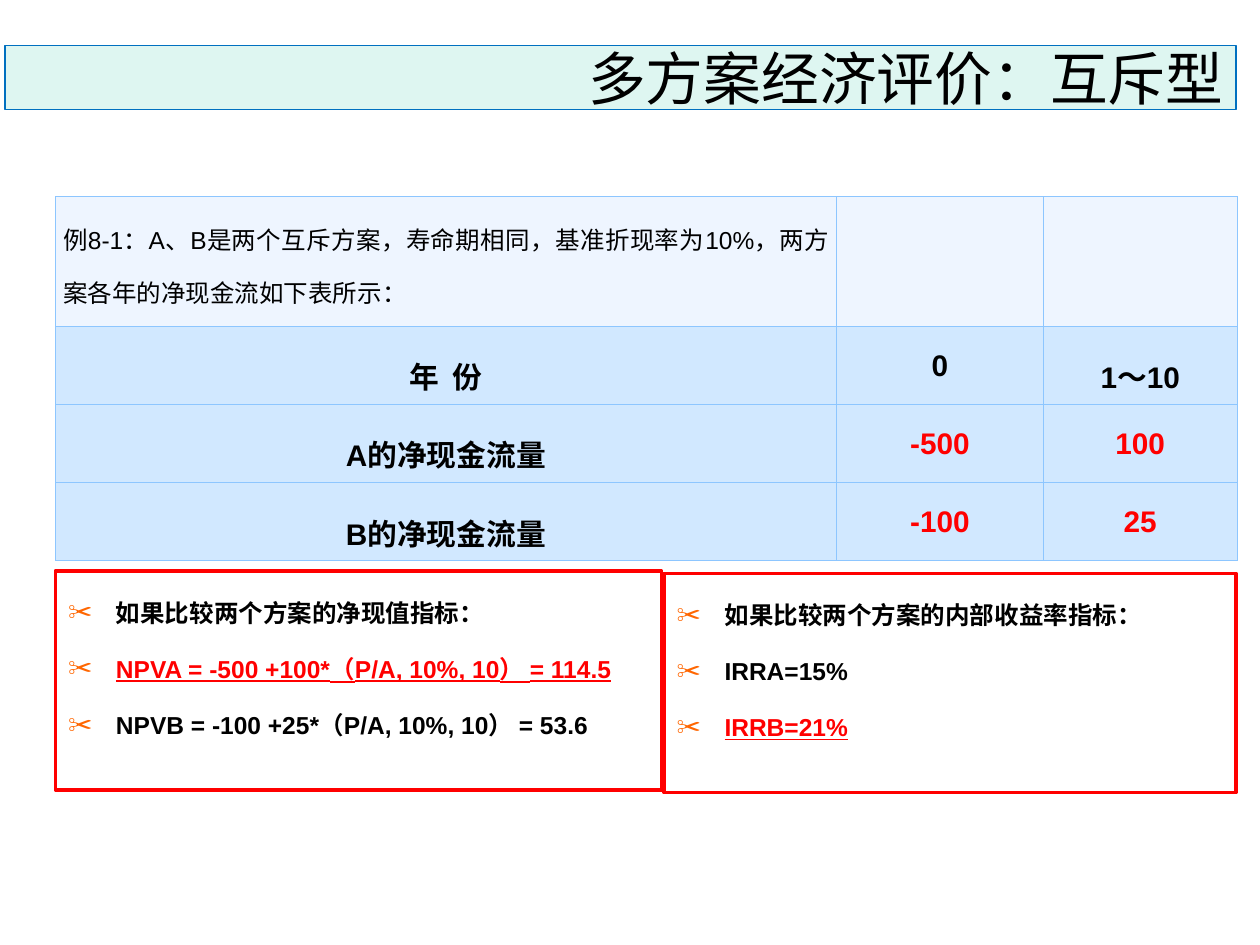
from lxml.etree import SubElement
from pptx import Presentation
from pptx.dml.color import RGBColor
from pptx.enum.text import MSO_ANCHOR, MSO_AUTO_SIZE, PP_ALIGN
from pptx.oxml.ns import qn
from pptx.util import Inches, Pt

COLORS = {
    "ink": "000000", "alert": "FF0000", "paper": "FFFFFF", "bullet": "FF6600",
    "title_fill": "DEF6F1", "title_line": "0070C0",
    "intro_row": "EEF5FF", "data_row": "D1E8FF", "grid": "8DC6FF",
}
LATIN, CJK = "Arial", "Noto Sans CJK SC"

TITLE = "多方案经济评价：互斥型"
INTRO = "例8-1：A、B是两个互斥方案，寿命期相同，基准折现率为10%，两方案各年的净现金流如下表所示："
CASH_FLOWS = [
    (INTRO, "", ""),
    ("年  份", "0", "1～10"),
    ("A的净现金流量", "-500", "100"),
    ("B的净现金流量", "-100", "25"),
]
COLUMNS = (6.2, 1.64, 1.54)
ROWS = (1.03, 0.62, 0.62, 0.62)

# Each criterion: box (left, top, width, height), then lines with the preferred plan marked.
CRITERIA = [
    ((0.44, 4.53, 4.81, 1.74), [
        ("如果比较两个方案的净现值指标：", False),
        ("NPVA = -500 +100*（P/A, 10%, 10） = 114.5", True),
        ("NPVB = -100 +25*（P/A, 10%, 10） = 53.6", False),
    ]),
    ((5.27, 4.55, 4.54, 1.74), [
        ("如果比较两个方案的内部收益率指标：", False),
        ("IRRA=15%", False),
        ("IRRB=21%", True),
    ]),
]


def rgb(name):
    return RGBColor.from_string(COLORS[name])


def add_run(p, text, size, color="ink", bold=False, underline=False, latin=LATIN):
    r = p.add_run()
    r.text = text
    font = r.font
    font.size, font.bold, font.underline = Pt(size), bold, underline
    font.name = latin
    font.color.rgb = rgb(color)
    SubElement(r._r.get_or_add_rPr(), qn("a:ea"), typeface=CJK)


def style_box(sp, box, fill, line, width):
    sp.left, sp.top, sp.width, sp.height = (Inches(v) for v in box)
    sp.fill.solid()
    sp.fill.fore_color.rgb = rgb(fill)
    sp.line.color.rgb = rgb(line)
    sp.line.width = Pt(width)
    tf = sp.text_frame
    tf.word_wrap = True
    tf.auto_size = MSO_AUTO_SIZE.NONE
    return tf


def add_bullet(p):
    pPr = p._p.get_or_add_pPr()
    pPr.set("marL", str(Inches(0.38)))
    pPr.set("indent", str(-Inches(0.38)))
    color = SubElement(pPr, qn("a:buClr"))
    SubElement(color, qn("a:srgbClr"), val=COLORS["bullet"])
    SubElement(pPr, qn("a:buFont"), typeface=LATIN)
    SubElement(pPr, qn("a:buChar"), char="✂")


def add_borders(cell):
    """Draw the four cell edges; they must precede the fill in the XML."""
    tcPr = cell._tc.get_or_add_tcPr()
    for side in ("lnL", "lnR", "lnT", "lnB"):
        ln = SubElement(tcPr, qn("a:" + side), w=str(Pt(0.45)))
        fill = SubElement(ln, qn("a:solidFill"))
        SubElement(fill, qn("a:srgbClr"), val=COLORS["grid"])


def add_cash_flow_table(s):
    frame = s.shapes.add_table(len(ROWS), len(COLUMNS), Inches(0.44), Inches(1.56),
                               Inches(sum(COLUMNS)), Inches(sum(ROWS)))
    table = frame.table
    for column, width in zip(table.columns, COLUMNS):
        column.width = Inches(width)
    for i, (height, texts) in enumerate(zip(ROWS, CASH_FLOWS)):
        table.rows[i].height = Inches(height)
        for j, text in enumerate(texts):
            cell = table.cell(i, j)
            add_borders(cell)
            cell.fill.solid()
            cell.fill.fore_color.rgb = rgb("data_row" if i else "intro_row")
            cell.margin_left = cell.margin_right = Inches(0.06)
            cell.margin_top = cell.margin_bottom = Inches(0.05)
            if not text:
                continue
            p = cell.text_frame.paragraphs[0]
            p.alignment = PP_ALIGN.CENTER if i else PP_ALIGN.JUSTIFY
            p.line_spacing = 1.5
            add_run(p, text, 17 if i else 14, "alert" if i > 1 and j else "ink", bold=i > 0)


def fill_criterion(sp, box, lines):
    tf = style_box(sp, box, "paper", "alert", 2)
    tf.vertical_anchor = MSO_ANCHOR.TOP
    for i, (text, preferred) in enumerate(lines):
        p = tf.add_paragraph() if i else tf.paragraphs[0]
        add_bullet(p)
        p.alignment = PP_ALIGN.LEFT
        p.line_spacing = 1.7
        p.space_before = Pt(3.5 if i else 0)
        add_run(p, text, 14, "alert" if preferred else "ink", True, preferred)


def main():
    prs = Presentation()
    prs.slide_width, prs.slide_height = Inches(10), Inches(7.5)
    s = prs.slides.add_slide(prs.slide_layouts.get_by_name("Two Content"))

    title, *bodies = list(s.placeholders)[:3]
    tf = style_box(title, (0.04, 0.36, 9.77, 0.51), "title_fill", "title_line", 0.75)
    tf.vertical_anchor = MSO_ANCHOR.MIDDLE
    p = tf.paragraphs[0]
    p.alignment = PP_ALIGN.RIGHT
    add_run(p, TITLE, 33, latin=CJK)

    add_cash_flow_table(s)
    for sp, (box, lines) in zip(bodies, CRITERIA):
        fill_criterion(sp, box, lines)

    prs.save("out.pptx")


if __name__ == "__main__":
    main()
